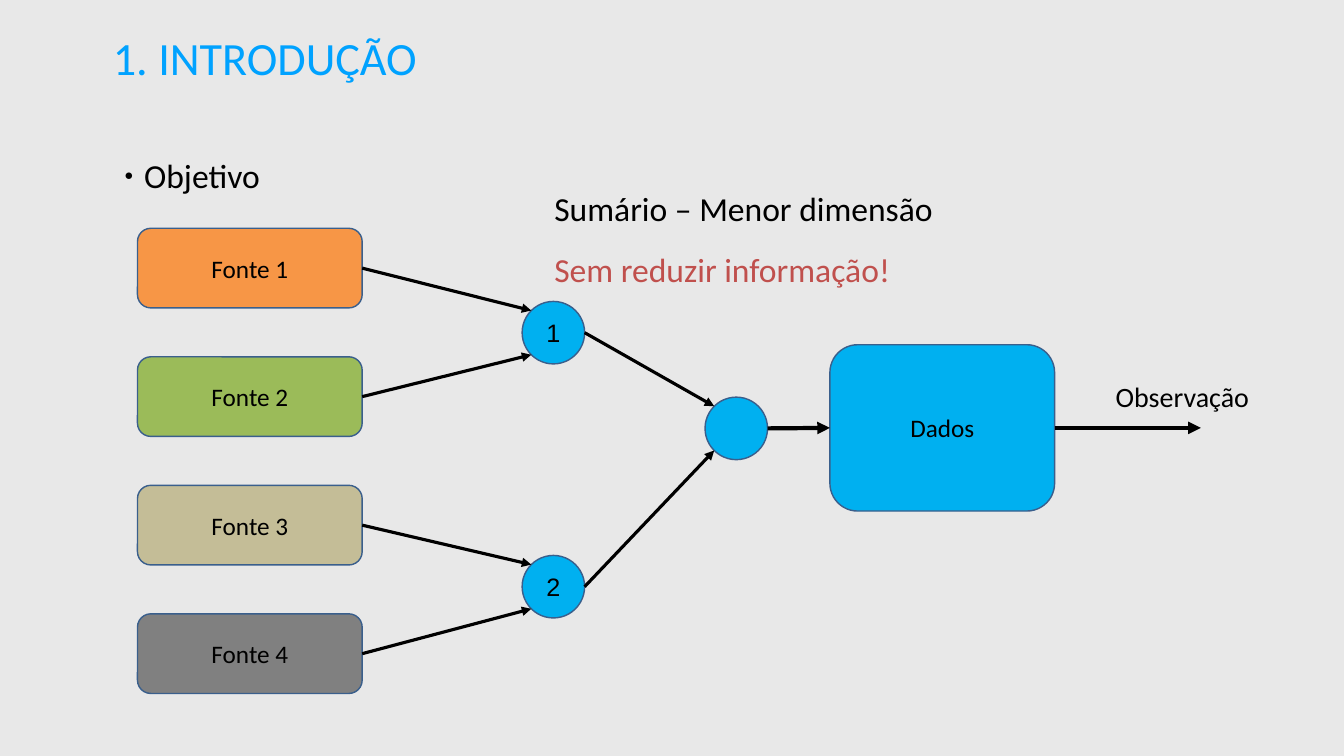
from math import sqrt
from pptx import Presentation
from pptx.dml.color import RGBColor
from pptx.enum.shapes import MSO_CONNECTOR, MSO_SHAPE
from pptx.enum.text import MSO_ANCHOR, MSO_AUTO_SIZE, PP_ALIGN
from pptx.oxml.ns import qn
from pptx.util import Inches, Pt
from lxml.etree import SubElement

WIDTH, HEIGHT = Inches(26.67), Inches(15)
GREY = RGBColor(0xE8, 0xE8, 0xE8)
BLACK = RGBColor(0, 0, 0)
CYAN = RGBColor(0x00, 0xB0, 0xF0)
BLUE = RGBColor(0x00, 0xA2, 0xFF)
NAVY = RGBColor(0x3A, 0x5F, 0x8C)
RED = RGBColor(0xC0, 0x50, 0x4D)
SOURCES = [
    RGBColor(0xF7, 0x96, 0x46),
    RGBColor(0x9B, 0xBB, 0x59),
    RGBColor(0xC4, 0xBD, 0x97),
    RGBColor(0x80, 0x80, 0x80),
]
BOX_W, BOX_H = 16.72, 10.53
NODE_W, NODE_H = 4.65, 8.27


def across(share):
    return round(WIDTH * share / 100)


def down(share):
    return round(HEIGHT * share / 100)


def frame(left, top, width, height):
    return across(left), down(top), across(width), down(height)


def add_run(para, text, size, color=BLACK, font="Calibri"):
    run = para.add_run()
    run.text = text
    run.font.size = Pt(size)
    run.font.name = font
    run.font.color.rgb = color


def add_block(slide, kind, place, color, label="", font="Calibri"):
    shape = slide.shapes.add_shape(kind, *frame(*place))
    shape.shadow.inherit = False
    shape.fill.solid()
    shape.fill.fore_color.rgb = color
    shape.line.color.rgb = NAVY
    shape.line.width = Pt(2)
    if label:
        shape.text_frame.vertical_anchor = MSO_ANCHOR.MIDDLE
        para = shape.text_frame.paragraphs[0]
        para.alignment = PP_ALIGN.CENTER
        add_run(para, label, 36, font=font)
    return shape


def add_box(slide, left, top, height, color, label):
    place = left, top, BOX_W, height
    return add_block(slide, MSO_SHAPE.ROUNDED_RECTANGLE, place, color, label)


def add_node(slide, left, top, label=""):
    place = left, top, NODE_W, NODE_H
    return add_block(slide, MSO_SHAPE.OVAL, place, CYAN, label, "Arial")


def add_text(slide, place, inset=None):
    box = slide.shapes.add_textbox(*frame(*place))
    text = box.text_frame
    text.word_wrap = True
    if inset is not None:
        text.margin_left = text.margin_right = inset
        text.margin_top = text.margin_bottom = inset
    return text


def style_para(para, margin, indent):
    para.level = 1
    para.line_spacing = 1.5
    props = para._p.get_or_add_pPr()
    props.set("marL", str(Inches(margin)))
    props.set("indent", str(Inches(indent)))
    return props


def add_bullet(props):
    color = SubElement(props, qn("a:buClr"))
    SubElement(color, qn("a:srgbClr"), val=str(BLACK))
    SubElement(props, qn("a:buSzPct"), val="45000")
    SubElement(props, qn("a:buFont"), typeface="Arial")
    SubElement(props, qn("a:buChar"), char="●")


def rim(node, dx, dy):
    scale = sqrt(0.5) if dx and dy else 1
    x = node.left + node.width / 2 * (1 + dx * scale)
    y = node.top + node.height / 2 * (1 + dy * scale)
    return round(x), round(y)


def add_arrow(slide, start, end, width, source=None, target=None):
    arrow = slide.shapes.add_connector(MSO_CONNECTOR.STRAIGHT, *start, *end)
    arrow.line.color.rgb = BLACK
    arrow.line.width = Pt(width)
    if source is not None:
        arrow.begin_connect(source, 3)
    if target is not None:
        arrow.end_connect(target, 1)
    props = arrow._element.spPr
    SubElement(props.find(qn("a:ln")), qn("a:tailEnd"), type="triangle")
    SubElement(props, qn("a:effectLst"))


def add_words(slide):
    inset = Inches(0.06)
    title = add_text(slide, (8.17, 3.53, 58.53, 8.07), inset)
    title.vertical_anchor = MSO_ANCHOR.MIDDLE
    add_run(title.paragraphs[0], "1. INTRODUÇÃO", 66, BLUE)

    goal = add_text(slide, (8.17, 17.4, 58.53, 14.07), inset).paragraphs[0]
    add_bullet(style_para(goal, 0.47, -0.24))
    add_run(goal, " Objetivo", 48)

    notes = add_text(slide, (40.12, 21.8, 58.53, 14.07), inset)
    first, second = notes.paragraphs[0], notes.add_paragraph()
    for para, words, color in (
        (first, "Sumário – Menor dimensão", BLACK),
        (second, "Sem reduzir informação!", RED),
    ):
        style_para(para, 0.24, 0)
        add_run(para, words, 48, color)

    label = add_text(slide, (82.64, 49.93, 13.39, 5.13))
    label.auto_size = MSO_AUTO_SIZE.SHAPE_TO_FIT_TEXT
    add_run(label.paragraphs[0], "Observação", 40)


def add_flow(slide):
    data = add_box(slide, 61.75, 45.6, 22, CYAN, "Dados")
    boxes = [
        add_box(slide, 10.23, 30.2 + 17 * i, BOX_H, color, f"Fonte {i + 1}")
        for i, color in enumerate(SOURCES)
    ]
    hub = add_node(slide, 52.46, 52.53)
    nodes = [
        add_node(slide, 38.85, top, str(i))
        for i, top in enumerate((39.87, 73.47), 1)
    ]
    for i, box in enumerate(boxes):
        side = 1 if i % 2 else -1
        add_arrow(slide, rim(box, 1, 0), rim(nodes[i // 2], -1, side), 4.5, box)
    for node, side in zip(nodes, (-1, 1)):
        add_arrow(slide, rim(node, 1, 0), rim(hub, -1, side), 4.5)
    add_arrow(slide, rim(hub, 1, 0), rim(data, -1, 0), 6, target=data)
    exit_x, exit_y = rim(data, 1, 0)
    add_arrow(slide, (exit_x, exit_y), (across(89.35), exit_y), 6, data)


def main():
    deck = Presentation()
    deck.slide_width, deck.slide_height = WIDTH, HEIGHT
    slide = deck.slides.add_slide(deck.slide_layouts[6])
    slide.background.fill.solid()
    slide.background.fill.fore_color.rgb = GREY
    add_flow(slide)
    add_words(slide)
    deck.save("out.pptx")


if __name__ == "__main__":
    main()
